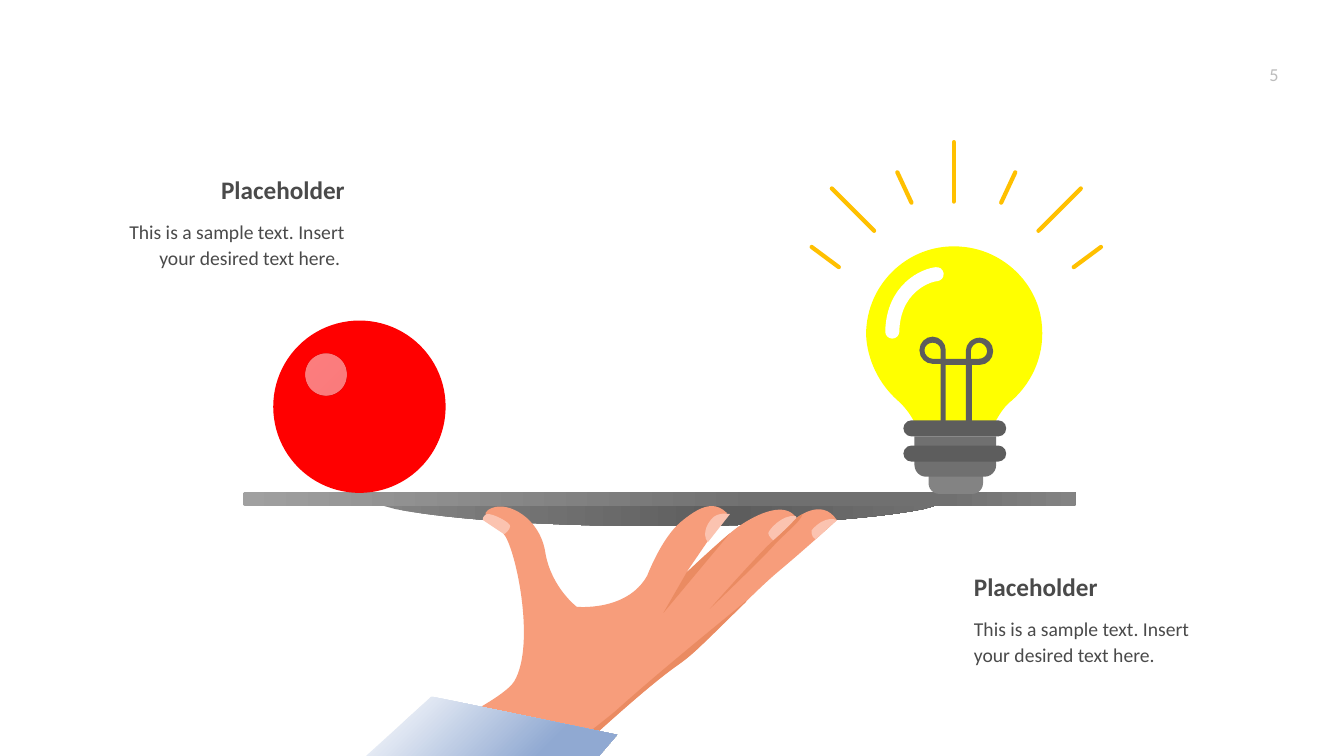
import lxml.etree
import pptx
import pptx.dml.color
import pptx.enum.shapes
import pptx.enum.text
import pptx.oxml.ns
import pptx.util

Inches = pptx.util.Inches
Pt = pptx.util.Pt
qn = pptx.oxml.ns.qn
Shape = pptx.enum.shapes.MSO_SHAPE
Align = pptx.enum.text.PP_ALIGN
Anchor = pptx.enum.text.MSO_ANCHOR

INK, RAY, DARK, MID, LIGHT = "4A4A4A", "FFC000", "5D5D5D", "707070", "838383"
SKIN, SHADE, NAIL, SPECK = "F79D7B", "EA8B62", "FBC3B0", "ED8A63"

BOWL = "M 3.81 5.02 L 9.27 5.02 9.16 5.05 C 8.66 5.15 7.67 5.22 6.54 5.22 5.41 5.22 4.43 5.15 3.92 5.05"
GLASS = """M 8.9 3.97 C 8.97 4.03 9.03 4.11 9.07 4.19 L 9.87 4.19
C 9.91 4.11 9.97 4.02 10.04 3.97 10.25 3.78 10.37 3.5 10.33 3.19 10.28 2.8 9.95 2.49 9.56 2.45
9.04 2.39 8.59 2.8 8.59 3.32 8.6 3.57 8.72 3.81 8.9 3.97"""
WIRE = """M 9.72 3.35 C 9.64 3.35 9.58 3.41 9.58 3.48 L 9.58 3.56 9.38 3.56 9.38 3.47
C 9.38 3.4 9.32 3.34 9.25 3.34 9.18 3.34 9.12 3.4 9.12 3.47 L 9.12 3.48
C 9.12 3.55 9.18 3.61 9.25 3.61 L 9.33 3.61 9.33 4.2 9.38 4.2 9.38 3.62 9.58 3.62
9.58 4.2 9.64 4.2 9.64 3.62 9.72 3.62 C 9.79 3.62 9.85 3.56 9.85 3.49 L 9.85 3.48
C 9.85 3.41 9.79 3.35 9.72 3.35
M 9.33 3.56 L 9.25 3.56 C 9.21 3.56 9.17 3.52 9.17 3.48 L 9.17 3.47
C 9.17 3.43 9.21 3.4 9.25 3.4 9.29 3.4 9.33 3.43 9.33 3.47
M 9.79 3.49 C 9.79 3.53 9.75 3.56 9.71 3.56 L 9.63 3.56 9.63 3.48
C 9.63 3.44 9.67 3.4 9.71 3.4 9.75 3.4 9.79 3.44 9.79 3.48"""
GLINT = "M 8.85 3.29 C 8.86 2.86 9.18 2.73 9.29 2.72"
HAND = """M 7.06 5.02 C 7.11 5.02 7.16 5.04 7.21 5.09 L 6.8 5.69
C 6.8 5.69 7.15 5.35 7.33 5.22 7.52 5.09 7.79 4.97 7.9 5.14 7.9 5.14 8.15 4.93 8.3 5.16
8.3 5.16 8.03 5.41 7.72 5.67 7.4 5.94 7.02 6.38 6.72 6.6 6.42 6.81 5.9 7.29 5.69 7.48
L 5.68 7.5 3.79 7.5 3.81 7.49
C 4.43 7.21 5 6.92 5.1 6.76 5.32 6.39 5.11 5.41 4.99 5.29 4.87 5.17 4.73 5.1 4.88 5.04
5.04 4.97 5.36 5.14 5.41 5.49 5.47 5.83 5.72 6.02 5.72 6.02 5.72 6.02 6.22 6.07 6.42 5.71
6.42 5.71 6.56 5.34 6.75 5.18 6.87 5.08 6.97 5.02 7.06 5.02"""
NAILS = [
    "M 7.24 5.1 C 7.24 5.1 7.16 5.08 7.09 5.12 7.03 5.16 6.95 5.29 7.02 5.38",
    """M 7.67 5.36 C 7.67 5.36 7.62 5.32 7.62 5.29 7.62 5.26 7.76 5.1 7.89 5.12
    7.89 5.12 7.9 5.13 7.9 5.14 7.9 5.16 7.67 5.36 7.67 5.36""",
    "M 8.05 5.26 C 8.05 5.26 8.04 5.33 8.09 5.35 L 8.3 5.16 C 8.3 5.16 8.19 5.1 8.05 5.26",
    """M 4.79 5.16 L 5 5.3 C 5 5.3 5.06 5.26 5.06 5.22 5.06 5.18 4.88 5.09 4.83 5.1
    4.78 5.12 4.79 5.16 4.79 5.16""",
]
FOLDS = [
    "M 6.58 6.08 L 7.24 5.29 C 7.08 5.43 6.86 5.63 6.81 5.68",
    """M 7.04 6.04 C 7.04 6.04 7.49 5.61 7.64 5.45 7.78 5.29 7.94 5.18 7.96 5.1
    7.92 5.12 7.9 5.14 7.9 5.14 7.9 5.14 7.76 5.29 7.64 5.39 7.52 5.5 7.04 6.04 7.04 6.04""",
    """M 7.4 5.96 L 7.4 5.97 6.99 6.37 C 6.9 6.46 6.81 6.54 6.72 6.6
    6.42 6.81 5.9 7.29 5.69 7.48 L 5.68 7.5 5.52 7.5 5.56 7.47
    C 5.8 7.3 5.99 7.15 6.11 7.05 6.62 6.59 7.4 5.97 7.4 5.96""",
]
CUFF = "M 4.28 6.91 L 6.12 7.29 5.94 7.5 3.63 7.5"


def tint(code):
    return pptx.dml.color.RGBColor.from_string(code)


def trace(route):
    steps, mode, nums = [], "", []
    for word in route.split():
        if word in "MLC":
            mode = word
            continue
        nums.append(Inches(float(word)))
        if len(nums) == (6 if mode == "C" else 2):
            steps.append((mode, list(zip(nums[::2], nums[1::2]))))
            nums = []
    return steps


class Deck:
    font = "Calibri"

    def __init__(self):
        self.file = pptx.Presentation()
        self.file.slide_width = Inches(13.33)
        self.file.slide_height = Inches(7.5)
        self.shapes = self.file.slides.add_slide(self.file.slide_layouts[6]).shapes

    def paint(self, item, fill, angle=0):
        item.shadow.inherit = False
        item.line.fill.background()
        if fill is None:
            item.fill.background()
        elif isinstance(fill, str):
            item.fill.solid()
            item.fill.fore_color.rgb = tint(fill)
        else:
            item.fill.gradient()
            grad = item._element.spPr.find(qn("a:gradFill"))
            stops = grad.find(qn("a:gsLst"))
            stops[:] = []
            for place, code, *alpha in fill:
                stop = lxml.etree.SubElement(stops, qn("a:gs"), pos=str(place * 1000))
                color = lxml.etree.SubElement(stop, qn("a:srgbClr"), val=code)
                for share in alpha:
                    lxml.etree.SubElement(color, qn("a:alpha"), val=str(share * 1000))
            grad.find(qn("a:lin")).set("ang", str(angle * 60000))

    def stroke(self, item, code, width):
        item.line.color.rgb = tint(code)
        item.line.width = Pt(width)
        item.line._get_or_add_ln().set("cap", "rnd")

    def block(self, kind, box, fill, bends=(), angle=0):
        item = self.shapes.add_shape(kind, *map(Inches, box))
        for i, bend in enumerate(bends):
            item.adjustments[i] = bend
        self.paint(item, fill, angle)

    def form(self, route, fill, angle=0, close=True):
        first, *steps = trace(route)
        pen = self.shapes.build_freeform(*first[1][0])
        for i, (mode, points) in enumerate(steps):
            if mode == "M":
                pen.move_to(*points[0])
            else:
                last = i + 1 == len(steps) or steps[i + 1][0] == "M"
                pen.add_line_segments(points[-1:], close and last)
        item = pen.convert_to_shape()
        lines = list(item._element.iter(qn("a:lnTo")))
        for line, (mode, points) in zip(lines, [s for s in steps if s[0] != "M"]):
            if mode == "C":
                curve = lxml.etree.Element(qn("a:cubicBezTo"))
                for x, y in points:
                    lxml.etree.SubElement(curve, qn("a:pt"), x=str(x - item.left), y=str(y - item.top))
                line.getparent().replace(line, curve)
        self.paint(item, fill, angle)
        return item

    def ray(self, *ends):
        item = self.shapes.add_connector(pptx.enum.shapes.MSO_CONNECTOR.STRAIGHT, *map(Inches, ends))
        self.stroke(item, RAY, 3)
        lxml.etree.SubElement(item._element.spPr, qn("a:effectLst"))

    def text(self, box, words, size, align, code=INK, bold=False, anchor=Anchor.TOP, space=1.1):
        frame = self.shapes.add_textbox(*map(Inches, box)).text_frame
        frame.word_wrap = True
        frame.margin_left = frame.margin_right = frame.margin_top = frame.margin_bottom = 0
        frame.vertical_anchor = anchor
        para = frame.paragraphs[0]
        para.text = words
        para.alignment, para.line_spacing = align, space
        para.font.name, para.font.size, para.font.bold = self.font, Pt(size), bold
        para.font.color.rgb = tint(code)

    def label(self, x, y, align, words):
        self.text((x, y + 0.46, 2.5, 0.64), words, 14, align)
        self.text((x, y, 2.5, 0.32), "Placeholder", 18, align, bold=True, anchor=Anchor.MIDDLE)


def main():
    deck = Deck()
    deck.text((12.03, 0.63, 0.65, 0.22), "5", 13, Align.RIGHT, code="BCBCBC", space=1.0)
    deck.block(Shape.ROUNDED_RECTANGLE, (2.41, 4.88, 8.26, 0.14),
               [(0, "A0A0A0"), (62, MID), (84, MID), (100, LIGHT)])
    deck.form(BOWL, [(0, LIGHT), (63, DARK), (100, MID)])

    deck.block(Shape.ROUNDED_RECTANGLE, (9.21, 4.49, 0.54, 0.41), LIGHT, [0.26])
    deck.form(GLASS, "FFFF00")
    deck.form(WIRE, DARK)
    deck.block(Shape.ROUND_2_SAME_RECTANGLE, (9.07, 4.33, 0.81, 0.4), MID, [0, 0.29])
    for top in (4.17, 4.42):
        deck.block(Shape.ROUNDED_RECTANGLE, (8.96, top, 1.02, 0.16), DARK, [0.5])
    deck.stroke(deck.form(GLINT, None, close=False), "FFFFFF", 10)

    deck.ray(9.46, 1.41, 9.46, 2)
    span = 18.97
    for x1, y1, x2, y2 in [(8.25, 1.87, 8.67, 2.29), (8.32, 2.65, 8.05, 2.45), (9.04, 2.01, 8.9, 1.71)]:
        deck.ray(x1, y1, x2, y2)
        deck.ray(span - x1, y1, span - x2, y2)

    deck.block(Shape.OVAL, (2.71, 3.18, 1.71, 1.71), "FF0000")
    deck.block(Shape.OVAL, (3.03, 3.51, 0.41, 0.41), [(19, "FCFDFE", 50), (100, "F6F8FB", 50)], angle=45)
    deck.form(HAND, SKIN)
    for nail in NAILS:
        deck.form(nail, NAIL)
    deck.form("M 7.4 5.96 L 7.4 5.97", SPECK)
    for fold in FOLDS:
        deck.form(fold, SHADE)
    deck.form(CUFF, [(19, "E4EAF4"), (75, "90A9D2")], angle=45)

    sample = "This is a sample text. Insert your desired text here."
    deck.label(0.92, 1.7, Align.RIGHT, sample + " ")
    deck.label(9.66, 5.64, Align.LEFT, sample)
    deck.file.save("out.pptx")


if __name__ == "__main__":
    main()
